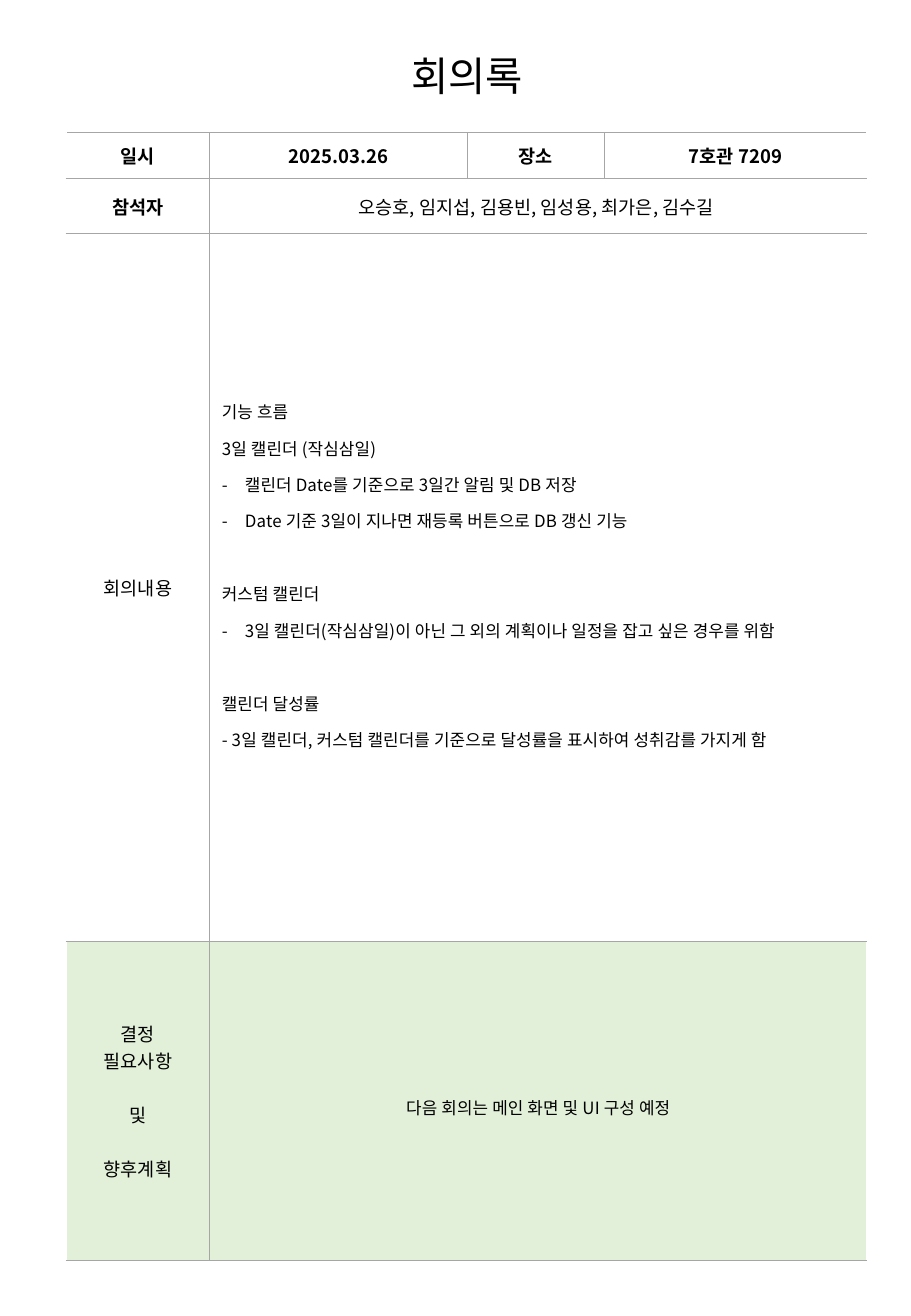
"""Build a one-page set of meeting minutes: a title over a ruled table."""
import pptx
import pptx.dml.color
import pptx.enum.text
import pptx.oxml.ns
import pptx.util
from lxml import etree

Inches = pptx.util.Inches
Pt = pptx.util.Pt
RGB = pptx.dml.color.RGBColor
ALIGN = pptx.enum.text.PP_ALIGN
ANCHOR = pptx.enum.text.MSO_ANCHOR
qn = pptx.oxml.ns.qn

WIDE, HIGH = 7.5, 10.83
FONT = "Noto Sans CJK KR"
BLACK = RGB(0, 0, 0)
WHITE = RGB(255, 255, 255)
GREEN = RGB(0xE2, 0xF0, 0xD9)
GREY = RGB(0xA6, 0xA6, 0xA6)
COLS = [1.18, 2.12, 1.13, 2.16]
ROWS = [0.38, 0.45, 5.83, 2.62]
RULES = [0.5, 0.75, 0.75, 0.5, 0.5]
FILLS = [WHITE, WHITE, WHITE, GREEN]
HEADS = ["일시", "2025.03.26", "장소", "7호관 7209"]
NAMES = "오승호, 임지섭, 김용빈, 임성용, 최가은, 김수길 "
TOPICS = [
    ["기능 흐름", "3일 캘린더 (작심삼일)",
     "* 캘린더 Date를 기준으로 3일간 알림 및 DB 저장",
     "* Date 기준 3일이 지나면 재등록 버튼으로 DB 갱신 기능"],
    ["커스텀 캘린더",
     "* 3일 캘린더(작심삼일)이 아닌 그 외의 계획이나 일정을 잡고 싶은 경우를 위함"],
    ["캘린더 달성률",
     "- 3일 캘린더, 커스텀 캘린더를 기준으로 달성률을 표시하여 성취감를 가지게 함"],
]
PLANS = ["결정\v필요사항", "및", "향후계획"]
NEXT = "다음 회의는 메인 화면 및 UI 구성 예정"


def style(para, size, bold=False, align=ALIGN.CENTER):
    """Format a paragraph and its runs, with small text spaced a little."""
    para.alignment = align
    for run in para.runs:
        font = run.font
        font.size, font.bold, font.name = Pt(size), bold, FONT
        font.color.rgb = BLACK
        etree.SubElement(font._element, qn("a:ea"), typeface=FONT)
        if size == 10:
            font._element.set("spc", "12")


def dash(para):
    """Give a paragraph a hanging dash."""
    props = para._p.get_or_add_pPr()
    props.set("marL", str(Inches(0.19)))
    props.set("indent", str(-Inches(0.19)))
    etree.SubElement(props, qn("a:buFont"), typeface=FONT)
    etree.SubElement(props, qn("a:buChar"), char="-")


def write(frame, lines, size, bold=False, gap=0):
    """Write centred lines with a gap between them."""
    for i, line in enumerate(lines):
        para = frame.add_paragraph() if i else frame.paragraphs[0]
        para.text = line
        para.space_before = Pt(gap if i else 0)
        style(para, size, bold)


def notes(cell):
    """Write the topics, each set off from the one before."""
    cell.margin_bottom = Inches(0.35)
    frame = cell.text_frame
    para = frame.paragraphs[0]
    for t, topic in enumerate(TOPICS):
        for i, line in enumerate(topic):
            if t or i:
                para = frame.add_paragraph()
            para.text = line.removeprefix("* ")
            para.line_spacing = 1.5
            para.space_before = Pt(21.6 if t and not i else 0)
            style(para, 10, align=ALIGN.LEFT)
            if line.startswith("* "):
                dash(para)


def edge(cell, sides):
    """Draw the given sides of a cell, each a tag, colour and width."""
    props = cell._tc.get_or_add_tcPr()
    for i, (tag, color, width) in enumerate(sides):
        line = etree.Element(qn("a:" + tag), w=str(Pt(width)))
        fill = etree.SubElement(line, qn("a:solidFill"))
        etree.SubElement(fill, qn("a:srgbClr"), val=str(color))
        props.insert(i, line)


def paint(cell, row, col):
    """Fill a cell and rule its sides."""
    cell.fill.solid()
    cell.fill.fore_color.rgb = FILLS[row]
    cell.vertical_anchor = ANCHOR.MIDDLE
    sides = []
    if not cell.is_spanned:
        last = col == len(COLS) - 1 or cell.is_merge_origin
        sides = [("lnL", GREY, 0.75) if col else ("lnL", WHITE, 1),
                 ("lnR", WHITE, 1) if last else ("lnR", GREY, 0.75)]
    sides += [("lnT", GREY, RULES[row]), ("lnB", GREY, RULES[row + 1])]
    edge(cell, sides)


def ruled(slide):
    """Add the empty ruled table, centred a little right of the middle."""
    frame = slide.shapes.add_table(
        len(ROWS), len(COLS), Inches((WIDE - sum(COLS)) * 0.6), Inches(1.09),
        Inches(sum(COLS)), Inches(sum(ROWS)))
    table = frame.table
    table.first_row = table.horz_banding = False
    for col, width in zip(table.columns, COLS):
        col.width = Inches(width)
    for row, height in zip(table.rows, ROWS):
        row.height = Inches(height)
    for r in range(1, len(ROWS)):
        table.cell(r, 1).merge(table.cell(r, len(COLS) - 1))
    for r in range(len(ROWS)):
        for c in range(len(COLS)):
            paint(table.cell(r, c), r, c)
    return table


def title(slide):
    """Place and write the title."""
    head = slide.shapes.title
    head.left, head.top = Inches(1.41), Inches(0.37)
    head.width, head.height = Inches(WIDE * 0.65), Inches(0.5)
    head.text_frame.vertical_anchor = ANCHOR.MIDDLE
    head.text_frame.auto_size = pptx.enum.text.MSO_AUTO_SIZE.NONE
    write(head.text_frame, ["회의록"], 24)


def main():
    """Build and save the minutes."""
    deck = pptx.Presentation()
    deck.slide_width, deck.slide_height = Inches(WIDE), Inches(HIGH)
    slide = deck.slides.add_slide(deck.slide_layouts[5])
    title(slide)
    table = ruled(slide)
    for c, text in enumerate(HEADS):
        write(table.cell(0, c).text_frame, [text], 11, True)
    write(table.cell(1, 0).text_frame, ["참석자"], 11, True)
    write(table.cell(1, 1).text_frame, [NAMES], 11)
    write(table.cell(2, 0).text_frame, ["회의내용"], 11)
    notes(table.cell(2, 1))
    write(table.cell(3, 0).text_frame, PLANS, 11, gap=16)
    plan = table.cell(3, 1).text_frame
    write(plan, [NEXT], 10)
    plan.paragraphs[0].line_spacing = 1.5
    deck.save("out.pptx")


if __name__ == "__main__":
    main()
